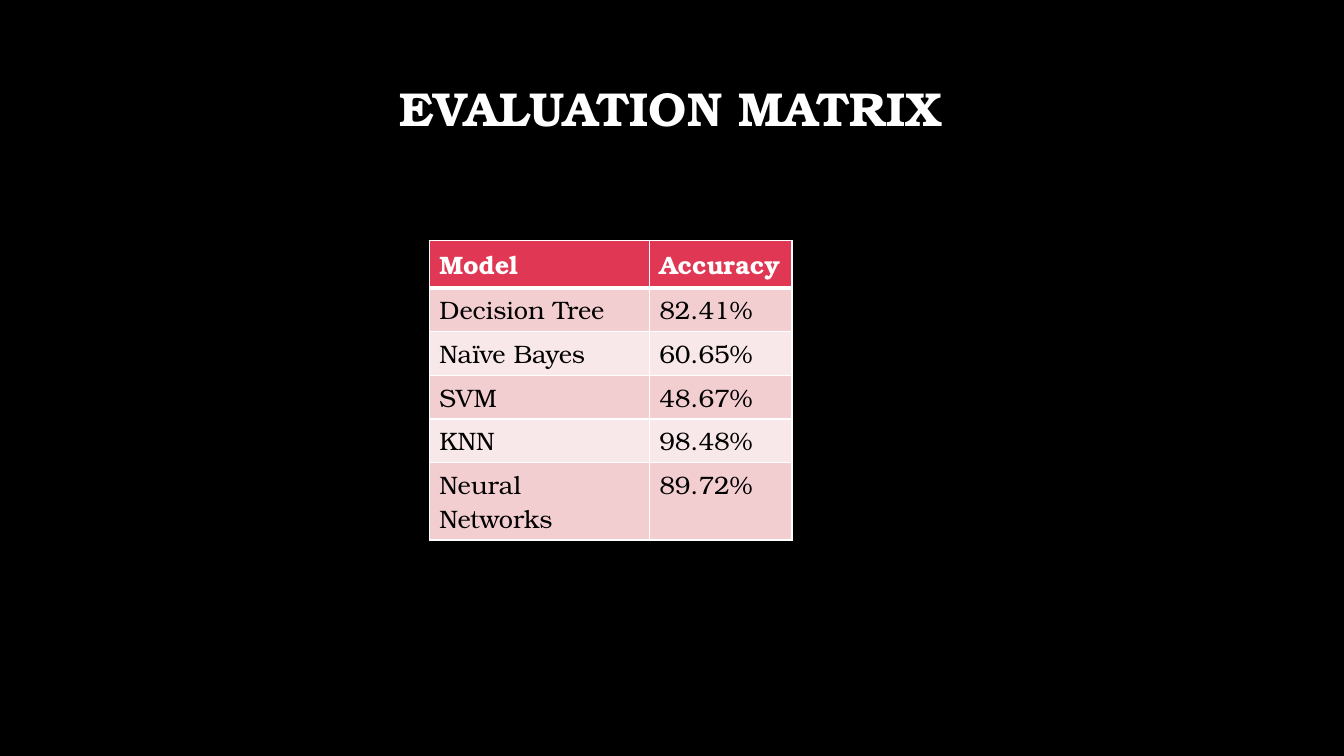
from lxml.etree import SubElement
from pptx import Presentation
from pptx.dml.color import RGBColor
from pptx.enum.text import MSO_ANCHOR, PP_ALIGN
from pptx.oxml.ns import qn
from pptx.util import Cm, Pt

FONT = "TeX Gyre Bonum"
COLORS = {
    "background": "000000",
    "white": "FFFFFF",
    "black": "000000",
    "header": "E03754",
    "odd row": "F3CED1",
    "even row": "F9E8E9",
}
RESULTS = [
    ("Model", "Accuracy"),
    ("Decision Tree", "82.41%"),
    ("Naïve Bayes", "60.65%"),
    ("SVM", "48.67%"),
    ("KNN", "98.48%"),
    ("Neural Networks", "89.72%"),
]
COLUMN_WIDTHS = [Cm(5.54), Cm(3.6)]
ROW_HEIGHT = Cm(1.03)


def style_font(font, size, color, bold):
    font.name, font.size, font.bold = FONT, Pt(size), bold
    font.color.rgb = RGBColor.from_string(COLORS[color])


def add_border(cell, side, points):
    """Draw a white line on one side (L, R, T or B) of a cell."""
    line = SubElement(cell._tc.get_or_add_tcPr(), qn(f"a:ln{side}"), w=str(Pt(points)))
    fill = SubElement(line, qn("a:solidFill"))
    SubElement(fill, qn("a:srgbClr"), val=COLORS["white"])


deck = Presentation()
deck.slide_width, deck.slide_height = Cm(33.87), Cm(19.05)
page = deck.slides.add_slide(deck.slide_layouts[5])
page.background.fill.solid()
page.background.fill.fore_color.rgb = RGBColor.from_string(COLORS["background"])

# Title, raised by a deep bottom margin
title = page.shapes.title
title.left, title.top, title.width, title.height = Cm(2.54), Cm(1.7), Cm(28.75), Cm(3.68)
frame = title.text_frame
frame.text = "EVALUATION MATRIX"
frame.word_wrap = True
frame.vertical_anchor = MSO_ANCHOR.MIDDLE
frame.margin_bottom = Cm(1.6)
heading = frame.paragraphs[0]
heading.alignment = PP_ALIGN.CENTER
heading.line_spacing = 0.9
style_font(heading.font, 34, "white", True)

# Accuracy table
table = page.shapes.add_table(
    len(RESULTS), len(COLUMN_WIDTHS), Cm(10.82), Cm(6.07),
    sum(COLUMN_WIDTHS), ROW_HEIGHT * len(RESULTS),
).table
for column, width in zip(table.columns, COLUMN_WIDTHS):
    column.width = width

for row, values in enumerate(RESULTS):
    table.rows[row].height = ROW_HEIGHT
    is_header = row == 0
    row_color = "header" if is_header else "odd row" if row % 2 else "even row"
    for column, value in enumerate(values):
        cell = table.cell(row, column)
        cell.text = value
        style_font(cell.text_frame.paragraphs[0].font, 18,
                   "white" if is_header else "black", is_header)
        for side in "LRTB":
            under_header = (row, side) in [(0, "B"), (1, "T")]
            add_border(cell, side, 3 if under_header else 1)
        cell.fill.solid()
        cell.fill.fore_color.rgb = RGBColor.from_string(COLORS[row_color])

deck.save("out.pptx")
